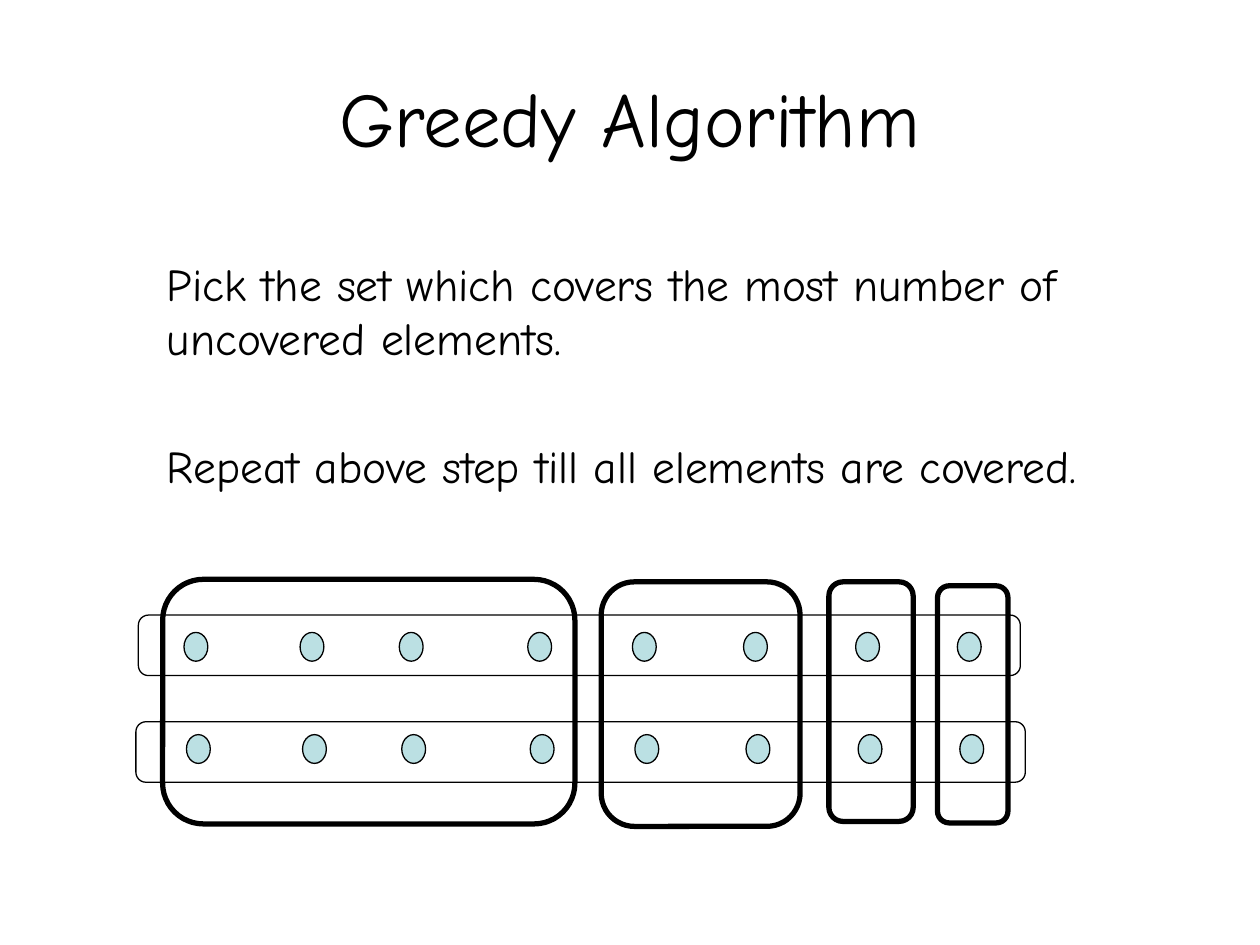
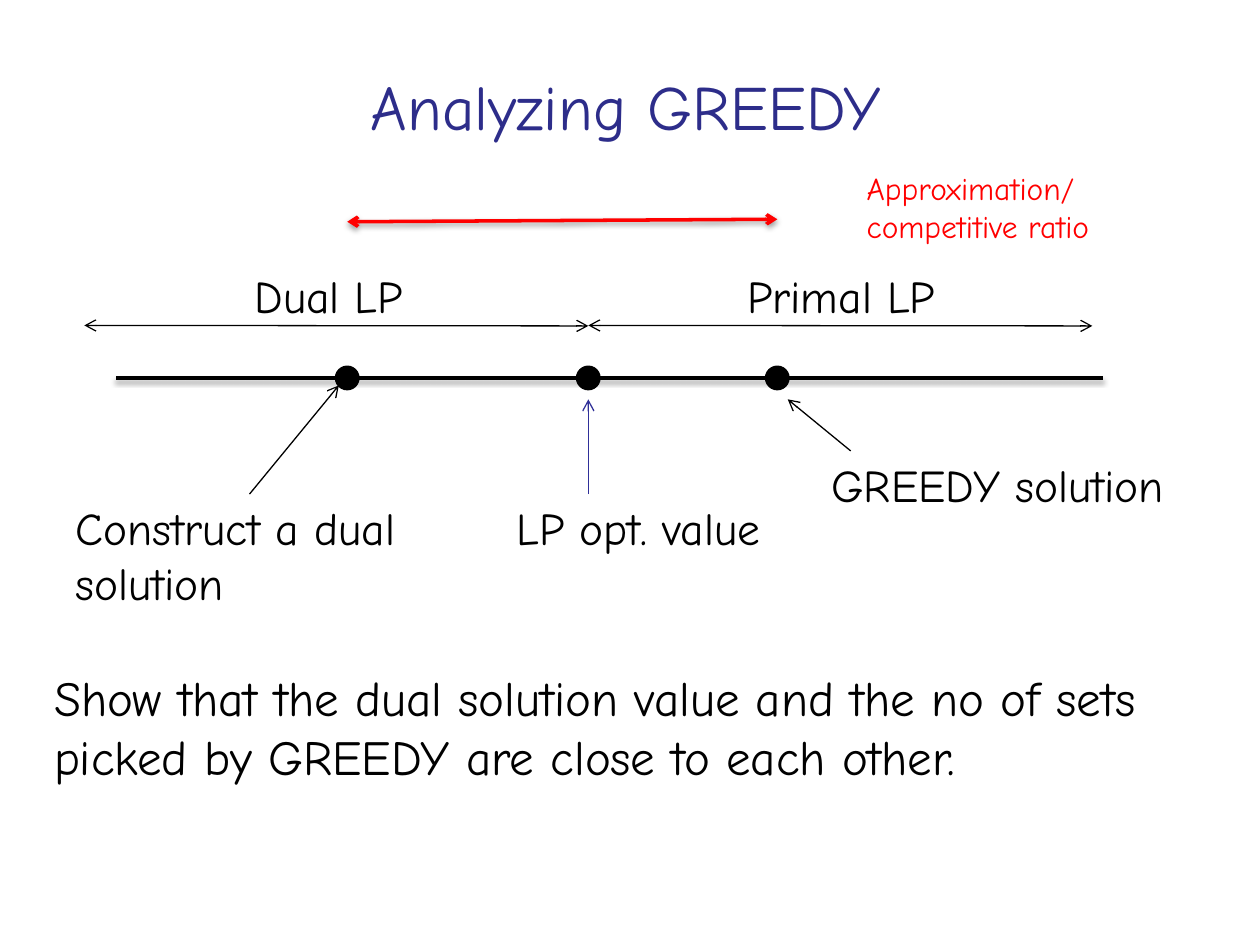
from lxml import etree
from pptx import Presentation
from pptx.dml.color import RGBColor
from pptx.enum import shapes as sh, text as tx
from pptx.oxml.ns import qn
from pptx.util import Cm, Pt

# Shared look
FONT = "Comic Neue"
BLACK = RGBColor(0, 0, 0)
AQUA = RGBColor(0xBB, 0xE0, 0xE3)
NAVY = RGBColor(0x2D, 0x2D, 0x8A)
BLUE = RGBColor(0x2F, 0x2F, 0x98)
RED = RGBColor(0xFF, 0, 0)
OVAL = sh.MSO_SHAPE.OVAL
ROUND = sh.MSO_SHAPE.ROUNDED_RECTANGLE

# Slide 1 content, lengths in cm
STEPS = [
    "Pick the set which covers the most number of uncovered elements.",
    "Repeat above step till all elements are covered.",
]
COLS = [3.71, 6.05, 8.05, 10.64, 12.75, 14.99, 17.25, 19.3]
ROWS = [(0, 12.75), (0.05, 14.81)]  # shift right, top
BARS = [(2.79, 12.4, 17.78, 1.22), (2.74, 14.55, 17.93, 1.22)]
SETS = [
    (3.28, 11.68, 8.31, 4.93),
    (12.12, 11.73, 4.01, 4.93),
    (16.71, 11.73, 1.7, 4.83),
    (18.9, 11.81, 1.42, 4.78),
]

# Slide 2 content, lengths in cm
AXIS = 7.62
DUAL, OPT, GREEDY = 7.0, 11.86, 15.67
DOT = 0.43
LINES = [  # start, end, colour, width, heads, shadow
    ((2.34, AXIS), (22.23, AXIS), BLACK, 2, "", True),
    ((OPT, 6.56), (22.02, 6.57), BLACK, 0.75, "both", False),
    ((1.7, 6.56), (OPT, 6.57), BLACK, 0.75, "both", False),
    ((OPT, 9.96), (OPT, 8.05), BLUE, 0.75, "end", False),
    ((17.15, 9.09), (15.88, 8.05), BLACK, 0.75, "end", False),
    ((5.03, 9.96), (6.83, 7.77), BLACK, 0.75, "end", False),
    ((DUAL, 4.47), (GREEDY, 4.42), RED, 2, "both", True),
]
LABELS = [  # box, paragraphs, size, colour, wrap
    ((14.81, 5.28, 4.42, 1.37), ["Primal LP"], 26, BLACK, False),
    ((4.88, 5.28, 3.66, 1.37), ["Dual LP"], 26, BLACK, False),
    ((10.16, 9.96, 5.87, 1.37), ["LP opt. value"], 26, BLACK, False),
    ((16.51, 9.09, 7.75, 1.37), ["GREEDY solution"], 26, BLACK, False),
    ((1.27, 9.96, 7.54, 2.49), ["Construct a dual", "solution"], 26, BLACK, False),
    ((0.84, 13.34, 23.93, 2.64),
     ["Show that the dual solution value and the no of sets picked by "
      "GREEDY are close to each other."], 28, BLACK, True),
    ((17.22, 3.28, 5.84, 1.8), ["Approximation/ competitive ratio"], 18, RED, True),
]


def place(shape, box):
    for key, val in zip(("left", "top", "width", "height"), box):
        setattr(shape, key, Cm(val))


def write(frame, paras, size, color):
    """Fill a text frame and return its paragraphs."""
    for i, line in enumerate(paras):
        para = frame.paragraphs[0] if i == 0 else frame.add_paragraph()
        run = para.add_run()
        run.text = line
        for key, val in {"name": FONT, "size": Pt(size)}.items():
            setattr(run.font, key, val)
        run.font.color.rgb = color
    return frame.paragraphs


def head(slide, words, box, size, color):
    title = slide.shapes.title
    place(title, box)
    frame = title.text_frame
    frame.vertical_anchor = tx.MSO_ANCHOR.MIDDLE
    write(frame, [words], size, color)[0].alignment = tx.PP_ALIGN.CENTER


def draw(slide, kind, box, fill=None, width=0.75):
    shape = slide.shapes.add_shape(kind, *map(Cm, box))
    shape.shadow.inherit = False
    if fill is None:
        shape.fill.background()
    else:
        shape.fill.solid()
        shape.fill.fore_color.rgb = fill
    shape.line.color.rgb = BLACK
    shape.line.width = Pt(width)


def link(slide, start, end, color, width, heads, shadow):
    line = slide.shapes.add_connector(
        sh.MSO_CONNECTOR.STRAIGHT, *map(Cm, start + end))
    line.line.color.rgb = color
    line.line.width = Pt(width)
    props = line.line._get_or_add_ln()
    tags = {"": [], "end": ["a:tailEnd"], "both": ["a:headEnd", "a:tailEnd"]}
    for tag in tags[heads]:
        etree.SubElement(props, qn(tag), type="arrow")
    effects = etree.SubElement(line._element.spPr, qn("a:effectLst"))
    if shadow:
        cast = etree.SubElement(
            effects, qn("a:outerShdw"), blurRad=str(Pt(3.1)),
            dist=str(Pt(1.6)), dir="5400000", rotWithShape="0")
        tint = etree.SubElement(cast, qn("a:srgbClr"), val=str(BLACK))
        etree.SubElement(tint, qn("a:alpha"), val="38000")


def greedy(slide):
    head(slide, "Greedy Algorithm", (1.27, 0.76, 22.86, 3.18), 44, BLACK)
    # Steps
    body = slide.placeholders[1]
    place(body, (2.16, 5.03, 23.24, 5.38))
    body.text_frame.auto_size = tx.MSO_AUTO_SIZE.NONE
    for i, para in enumerate(write(body.text_frame, STEPS, 26, BLACK)):
        props = para._p.get_or_add_pPr()
        props.set("marL", str(Cm(0.95)))
        props.set("indent", "0")
        etree.SubElement(props, qn("a:buNone"))
        para.space_before = Pt(41.6 if i else 0)
    # Elements, then the sets around them
    for shift, top in ROWS:
        for left in COLS:
            draw(slide, OVAL, (left + shift, top, 0.48, 0.58), AQUA)
    for boxes, width in ((BARS, 0.75), (SETS, 3)):
        for box in boxes:
            draw(slide, ROUND, box, width=width)


def bounds(slide):
    head(slide, "Analyzing GREEDY", (1.19, 0.53, 22.86, 3.18), 36, NAVY)
    # Value axis, ranges and pointers
    for line in LINES:
        link(slide, *line)
    for mid in (DUAL, OPT, GREEDY):
        draw(slide, OVAL, (mid - DOT / 2, AXIS - DOT / 2, DOT, DOT), BLACK, 2)
    # Labels
    for box, paras, size, color, wrap in LABELS:
        frame = slide.shapes.add_textbox(*map(Cm, box)).text_frame
        frame.word_wrap = wrap
        frame.auto_size = tx.MSO_AUTO_SIZE.SHAPE_TO_FIT_TEXT
        write(frame, paras, size, color)


def main():
    deck = Presentation()
    deck.slide_width, deck.slide_height = Cm(25.4), Cm(19.05)
    for layout, build in ((1, greedy), (5, bounds)):
        build(deck.slides.add_slide(deck.slide_layouts[layout]))
    deck.save("out.pptx")


if __name__ == "__main__":
    main()
